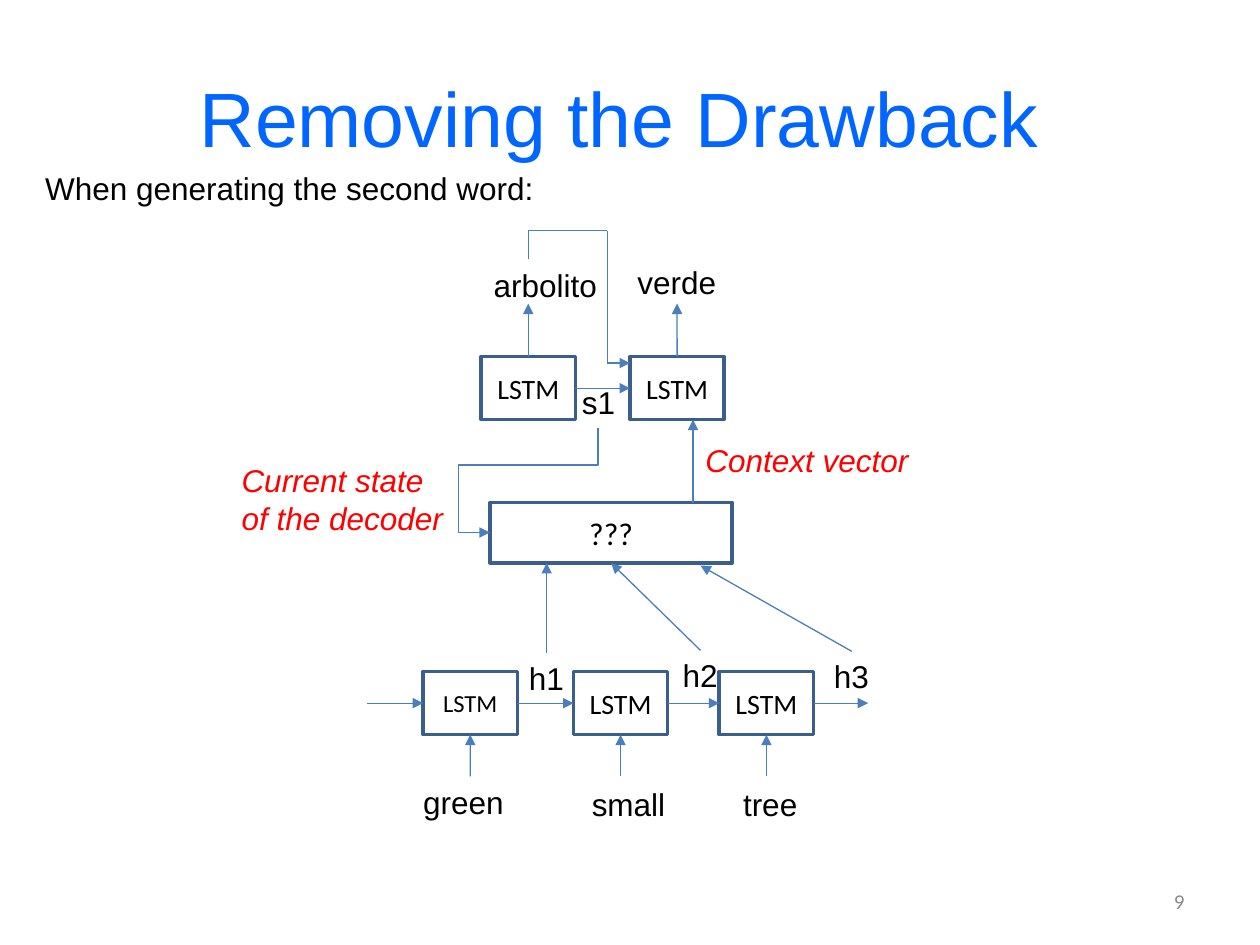
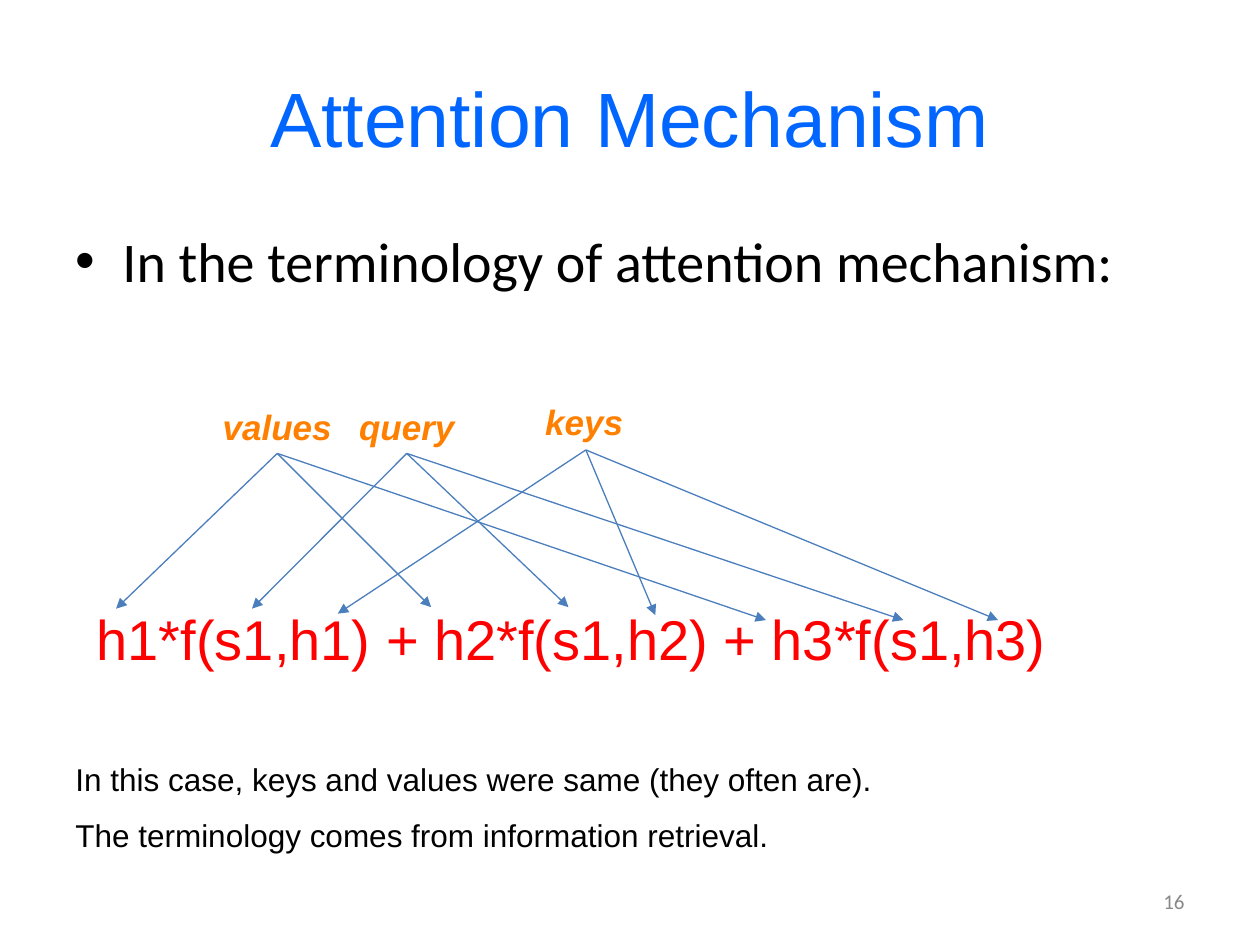
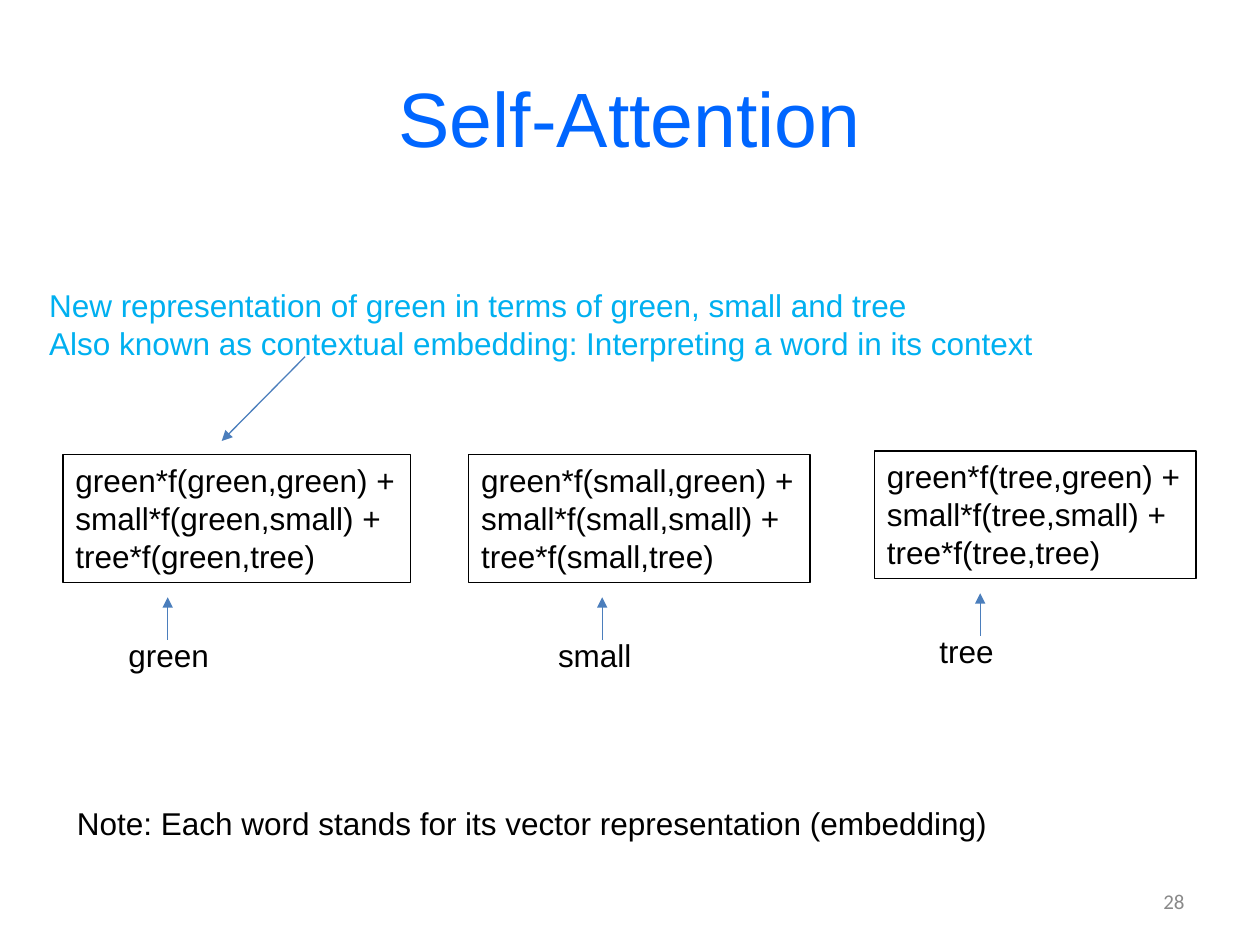
from lxml import etree
from pptx import Presentation
from pptx.dml.color import RGBColor
from pptx.enum.shapes import MSO_CONNECTOR as LINK, MSO_SHAPE
from pptx.enum.text import MSO_ANCHOR as ANCHOR, MSO_AUTO_SIZE as FIT, PP_ALIGN as ALIGN
from pptx.oxml.ns import qn
from pptx.util import Cm, Pt

COLORS = {
    "title": "0066FF", "text": "000000", "page": "898989", "accent": "FF0000",
    "role": "FF8000", "note": "00B0F0", "arrow": "4B7EBC", "cell": "3A5F8C",
}
TOP, LEFT, BOTTOM, RIGHT = 0, 1, 2, 3
LINE_HEIGHT = 1.02
CELL_WIDTH, CELL_HEIGHT = 1.9, 1.27


def add_text(slide, text, left, top, width, height=LINE_HEIGHT, size=18, color="text",
             font="Arial", bold=False, italic=False, align=ALIGN.LEFT, wrap=False,
             middle=False, outline=None):
    """Add a text box, or a rectangle if outline gives (colour, points)."""
    area = Cm(left), Cm(top), Cm(width), Cm(height)
    if outline:
        box = slide.shapes.add_shape(MSO_SHAPE.RECTANGLE, *area)
        box.shadow.inherit = False
        box.fill.background()
        box.line.color.rgb = RGBColor.from_string(COLORS[outline[0]])
        box.line.width = Pt(outline[1])
    else:
        box = slide.shapes.add_textbox(*area)
    frame = box.text_frame
    frame.text = text
    frame.word_wrap = wrap or middle
    frame.auto_size = FIT.NONE if middle else FIT.SHAPE_TO_FIT_TEXT
    frame.vertical_anchor = ANCHOR.MIDDLE if middle else ANCHOR.TOP
    for paragraph in frame.paragraphs:
        paragraph.alignment = align
        for run in paragraph.runs:
            run.font.name, run.font.size = font, Pt(size)
            run.font.bold, run.font.italic = bold, italic
            run.font.color.rgb = RGBColor.from_string(COLORS[color])
    return box


def add_arrow(slide, start, end, head=True, kind=LINK.STRAIGHT):
    arrow = slide.shapes.add_connector(kind, *(Cm(value) for value in (*start, *end)))
    arrow.line.color.rgb = RGBColor.from_string(COLORS["arrow"])
    arrow.line.width = Pt(0.75)
    if head:
        etree.SubElement(arrow.line._get_or_add_ln(), qn("a:tailEnd"), type="triangle")
    etree.SubElement(arrow._element.spPr, qn("a:effectLst"))
    return arrow


prs = Presentation()
prs.slide_width, prs.slide_height = Cm(25.4), Cm(19.05)

# The trailing space of the first title shifts its centred line slightly left.
slides = []
for title, page in (("Removing the Drawback ", 9), ("Attention Mechanism", 16),
                    ("Self-Attention", 28)):
    slide = prs.slides.add_slide(prs.slide_layouts[6])
    add_text(slide, title, 1.27, 0.76, 22.86, 3.18, size=44, color="title",
             align=ALIGN.CENTER, middle=True)
    add_text(slide, str(page), 18.21, 17.65, 5.92, size=12, color="page", font="Calibri",
             align=ALIGN.RIGHT, middle=True)
    slides.append(slide)
drawback, attention, self_attention = slides

# Slide 1: encoder and decoder joined by an unknown block
add_text(drawback, "When generating the second word:", 0.66, 3.28, 10.44)
cell_style = dict(font="Calibri", align=ALIGN.CENTER, middle=True, outline=("cell", 2))

encoder_top = 13.54
encoder_mid = encoder_top + CELL_HEIGHT / 2
encoder = []
for left, size, word, word_left, word_top, word_width in (
        (8.53, 14, "green", 8.28, 15.67, 2.16),
        (11.56, 16, "small", 11.68, 15.7, 2.01),
        (14.5, 16, "tree", 14.73, 15.7, 1.63)):
    cell = add_text(drawback, "LSTM", left, encoder_top, CELL_WIDTH, CELL_HEIGHT,
                    size=size, **cell_style)
    add_text(drawback, word, word_left, word_top, word_width)
    center = left + CELL_WIDTH / 2
    add_arrow(drawback, (center, 15.65), (center, 14.81)).end_connect(cell, BOTTOM)
    step = add_arrow(drawback, (left - 1.14, encoder_mid), (left, encoder_mid))
    if encoder:
        step.begin_connect(encoder[-1], RIGHT)
    step.end_connect(cell, LEFT)
    encoder.append(cell)
add_arrow(drawback, (16.4, encoder_mid), (17.5, encoder_mid)).begin_connect(encoder[-1], RIGHT)

decoder_top = 7.19
decoder = []
for left, word, word_left, word_top, word_width in (
        (9.7, "arbolito", 9.7, 5.23, 2.62), (12.7, "verde", 12.6, 5.18, 2.11)):
    cell = add_text(drawback, "LSTM", left, decoder_top, CELL_WIDTH, CELL_HEIGHT,
                    size=16, **cell_style)
    add_text(drawback, word, word_left, word_top, word_width)
    center = left + CELL_WIDTH / 2
    add_arrow(drawback, (center, decoder_top), (center, 6.12)).begin_connect(cell, TOP)
    decoder.append(cell)
decoder_step = add_arrow(drawback, (11.6, 7.82), (12.7, 7.82))
decoder_step.begin_connect(decoder[0], RIGHT)
decoder_step.end_connect(decoder[1], LEFT)
add_text(drawback, "s1", 11.48, 7.59, 1.19)

feedback = [(10.65, 5.23), (10.65, 4.65), (12.24, 4.65), (12.24, 7.32), (12.7, 7.32)]
for start, end in zip(feedback, feedback[1:]):
    add_arrow(drawback, start, end, head=end == feedback[-1])

unknown = add_text(drawback, "???", 9.88, 10.13, 4.88, 1.22, **cell_style)
state_arrows = []
for state, left, top, start_x, end in (("h1", 10.41, 13.16, 11.02, (11.02, 11.35)),
                                       ("h2", 13.51, 13.11, 14.12, (12.32, 11.35)),
                                       ("h3", 16.56, 13.13, 17.17, (14.12, 11.4))):
    add_text(drawback, state, left, top, 1.22)
    state_arrows.append(add_arrow(drawback, (start_x, top), end))
state_arrows[1].end_connect(unknown, BOTTOM)

add_arrow(drawback, (13.97, 10.13), (13.97, 8.46))
add_text(drawback, "Context vector", 13.97, 8.76, 4.65, color="accent", italic=True, wrap=True)
add_text(drawback, "Current state of the decoder", 4.62, 9.17, 4.65, 1.8, color="accent",
         italic=True, wrap=True)

# Four-part elbow, turned a quarter so that it leaves s1 downwards
state_route = add_arrow(drawback, (9.91, 8.59), (12.02, 10.77), kind=LINK.ELBOW)
route_props = state_route._element.spPr
route_props.find(qn("a:xfrm")).set("rot", "5400000")
route_shape = route_props.find(qn("a:prstGeom"))
route_shape.set("prst", "bentConnector4")
for name, share in (("adj1", 35600), ("adj2", 128900)):
    etree.SubElement(route_shape.find(qn("a:avLst")), qn("a:gd"), name=name, fmla=f"val {share}")

# Slide 2: roles of the terms in the weighted sum
intro = add_text(attention, "In the terminology of attention mechanism:", 1.27, 4.45, 22.86,
                 1.63, size=32, font="Calibri", wrap=True)
bullet = intro.text_frame.paragraphs[0]._p.get_or_add_pPr()
bullet.set("marL", str(Cm(0.95)))
bullet.set("indent", str(-Cm(0.95)))
etree.SubElement(bullet, qn("a:buFont"), typeface="Arial")
etree.SubElement(bullet, qn("a:buChar"), char="•")

add_text(attention, "h1*f(s1,h1) + h2*f(s1,h2) + h3*f(s1,h3)", 0, 12.07, 23.06, 1.63,
         size=32, color="accent", align=ALIGN.CENTER, wrap=True)
for role, left, top, width, source, targets in (
        ("values", 4.24, 8.05, 2.72, (5.59, 9.14),
         [(2.34, 12.27), (8.69, 12.24), (15.44, 12.5)]),
        ("query", 6.99, 8.05, 2.46, (8.2, 9.14),
         [(5.08, 12.27), (11.46, 12.24), (18.21, 12.5)]),
        ("keys", 10.74, 7.95, 2.11, (11.81, 9.07),
         [(6.81, 12.37), (13.21, 12.4), (20.12, 12.5)])):
    add_text(attention, role, left, top, width, 1.12, size=20, color="role",
             bold=True, italic=True)
    for target in targets:
        add_arrow(attention, source, target)
add_text(attention, "In this case, keys and values were same (they often are).",
         1.27, 15.19, 16.71)
add_text(attention, "The terminology comes from information retrieval.", 1.27, 16.33, 15.88)

# Slide 3: each word rewritten in terms of all words
words = ("green", "small", "tree")
for word, left, top, width, word_left, word_width, arrow_x in zip(
        words, (1.27, 9.45, 17.63), (9.17, 9.17, 9.09), (7.01, 6.88, 6.48),
        (2.34, 11, 18.69), (2.16, 2.01, 1.63), (3.38, 12.14, 19.76)):
    weighted_sum = " +\n".join(f"{other}*f({word},{other})" for other in words)
    add_text(self_attention, weighted_sum, left, top, width, 2.57, outline=("text", 0.75))
    add_text(self_attention, word, word_left, top + 3.53, word_width)
    add_arrow(self_attention, (arrow_x, top + 3.73), (arrow_x, top + 2.87))
add_arrow(self_attention, (6.15, 7.19), (4.47, 8.89))
add_text(self_attention,
         "New representation of green in terms of green, small and tree\n"
         "Also known as contextual embedding: Interpreting a word in its context",
         0.74, 5.64, 21.06, 1.8, color="note")
add_text(self_attention, "Note: Each word stands for its vector representation (embedding)",
         1.3, 16.08, 19)

prs.save("out.pptx")
